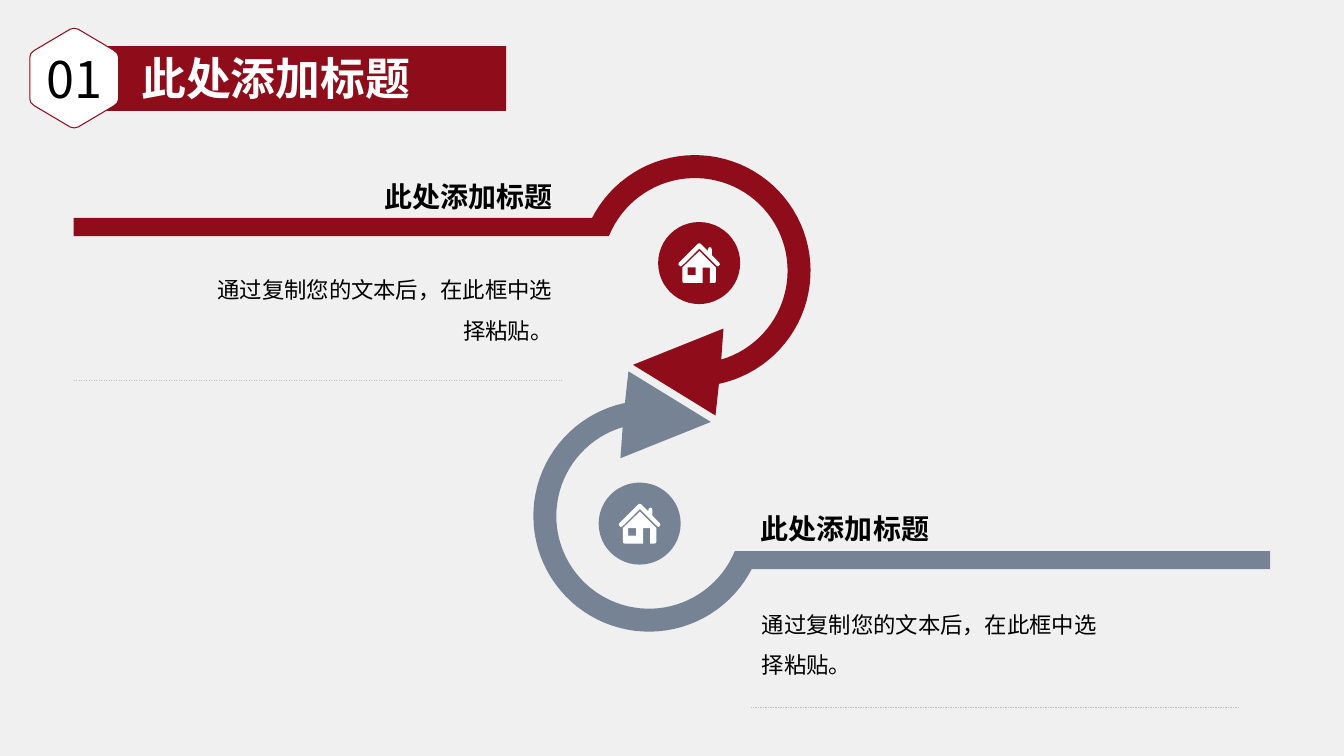
from dataclasses import dataclass
from math import cos, radians, sin

from lxml import etree
from pptx import Presentation
from pptx.dml.color import RGBColor
from pptx.enum.dml import MSO_LINE
from pptx.enum.shapes import MSO_CONNECTOR, MSO_SHAPE
from pptx.enum.text import MSO_ANCHOR, PP_ALIGN
from pptx.oxml.ns import qn
from pptx.util import Pt

LEFT, CENTER, RIGHT = PP_ALIGN.LEFT, PP_ALIGN.CENTER, PP_ALIGN.RIGHT
TOP, MIDDLE, BOTTOM = MSO_ANCHOR.TOP, MSO_ANCHOR.MIDDLE, MSO_ANCHOR.BOTTOM
RECTANGLE, OVAL = MSO_SHAPE.RECTANGLE, MSO_SHAPE.OVAL
STRAIGHT, DASH = MSO_CONNECTOR.STRAIGHT, MSO_LINE.DASH


@dataclass(frozen=True)
class Theme:
    font: str = "Noto Sans CJK SC"
    background: RGBColor = RGBColor(0xF0, 0xF0, 0xF0)
    red: RGBColor = RGBColor(0x8F, 0x0C, 0x1B)
    slate: RGBColor = RGBColor(0x76, 0x83, 0x95)
    white: RGBColor = RGBColor(0xFF, 0xFF, 0xFF)
    black: RGBColor = RGBColor(0, 0, 0)
    rule: RGBColor = RGBColor(0xBF, 0xBF, 0xBF)
    number_size: int = 36
    title_size: int = 32
    heading_size: int = 20
    body_size: int = 16


theme = Theme()
presentation = Presentation()
presentation.slide_width, presentation.slide_height = Pt(960), Pt(540)
slide = presentation.slides.add_slide(presentation.slide_layouts[6])
slide.background.fill.solid()
slide.background.fill.fore_color.rgb = theme.background
shapes = slide.shapes


def add_filled(color, center=(0, 0), contours=None, preset=None, box=None):
    """Add a preset shape in a box, or closed contours around a center."""
    if preset is not None:
        shape = shapes.add_shape(preset, *map(Pt, box))
    else:
        builder = None
        for contour in contours:
            points = [(Pt(center[0] + x), Pt(center[1] + y)) for x, y in contour]
            if builder is None:
                builder = shapes.build_freeform(*points[0])
            else:
                builder.move_to(*points[0])
            builder.add_line_segments(points[1:], close=True)
        shape = builder.convert_to_shape()
    shape.shadow.inherit = False
    shape.fill.solid()
    shape.fill.fore_color.rgb = color
    shape.line.fill.background()
    return shape


def write(shape, text, size, color, align, anchor, bold=False, spacing=1.0, wrap=True):
    frame = shape.text_frame
    frame.word_wrap = wrap
    frame.vertical_anchor = anchor
    paragraph = frame.paragraphs[0]
    paragraph.alignment = align
    paragraph.line_spacing = spacing
    run = paragraph.add_run()
    run.text = text
    run.font.name = theme.font
    run.font.size = Pt(size)
    run.font.bold = bold
    run.font.color.rgb = color
    east_asian = etree.SubElement(run.font._element, qn("a:ea"))
    east_asian.set("typeface", theme.font)


# Ring arrow around its center: outer arc, arrowhead, inner arc back
outer_radius, inner_radius, segments = 82.6, 66.2, 60
tail_angle, outer_end, inner_end = 202.5, 438, 433.5
ring_arrow = []
for radius, start, end in [(outer_radius, tail_angle, outer_end),
                           (inner_radius, inner_end, tail_angle)]:
    for index in range(segments + 1):
        angle = radians(start + (end - start) * index / segments)
        ring_arrow.append((radius * cos(angle), radius * sin(angle)))
    if radius == outer_radius:
        ring_arrow += [(14.7, 103.4), (-44.2, 67.2), (20.4, 41.3)]

# House icon around its center: roof with chimney, walls, window
house = [
    [(14.8, 1), (13.8, 2.4), (12.8, 2.2), (0.2, -10.3), (-12.5, 2.2), (-13.6, 2.4),
     (-14.8, 1), (-14.5, -0.2), (-1, -13.7), (0, -14.1), (1.2, -13.7), (6.3, -8.6),
     (6.3, -9.8), (6.8, -10.9), (7.7, -11.3), (8.7, -10.9), (9.1, -9.8), (9.1, -5.6),
     (14.4, -0.3)],
    [(12, 3.3), (12, 12.9), (11.6, 14), (10.6, 14.3), (7.6, 14.3), (7.6, 3.3),
     (2.5, 3.3), (2.5, 14.3), (-10.6, 14.3), (-11.6, 14), (-12, 12.9), (-12, 3.3),
     (0.2, -8.6)],
    [(-2.5, 3.2), (-8.2, 3.2), (-8.2, 8.6), (-2.5, 8.6)],
]

# Two steps: color, turn, ring and icon centers, bar corner, text boxes, rule, alignment
steps = [
    (theme.red, 1, (496.4, 193.4), (499.4, 187.9), (52.6, 155.6),
     (139.7, 119.5, 262.1, 36), (139.7, 168.5, 262.1, 96.5), (401.8, 52.6, 271.8), RIGHT),
    (theme.slate, -1, (463.6, 368.6), (456.9, 374), (524.9, 393.6),
     (536.4, 357.1, 370.8, 36), (537.1, 371.5, 262.1, 167.8), (885.2, 536.4, 505.4), LEFT),
]
icon_size, bar_size = 58.6, (382.3, 13)
for color, turn, ring, icon, bar, heading_box, body_box, rule, align in steps:
    add_filled(color, ring, [[(turn * x, turn * y) for x, y in ring_arrow]])
    disc_box = (icon[0] - icon_size / 2, icon[1] - icon_size / 2, icon_size, icon_size)
    add_filled(color, preset=OVAL, box=disc_box)
    add_filled(theme.white, icon, house)
    add_filled(color, preset=RECTANGLE, box=bar + bar_size)

    heading = shapes.add_textbox(*map(Pt, heading_box))
    write(heading, "此处添加标题", theme.heading_size, theme.black, align, BOTTOM,
          bold=True, spacing=1.2)
    body = shapes.add_textbox(*map(Pt, body_box))
    write(body, "通过复制您的文本后，在此框中选择粘贴。", theme.body_size, theme.black,
          align, MIDDLE, spacing=1.5)

    start_x, end_x, y = map(Pt, rule)
    divider = shapes.add_connector(STRAIGHT, start_x, y, end_x, y)
    divider.line.color.rgb = theme.rule
    divider.line.width = Pt(0.25)
    divider.line.dash_style = DASH
    etree.SubElement(divider._element.spPr, qn("a:effectLst"))

# Title banner
add_filled(theme.red, preset=RECTANGLE, box=(71.3, 33, 290.2, 46.2))

# Numbered hexagon with rounded corners, mirrored from one quarter
quarter = [(31.7, 14.8), (30.9, 17.6), (28.4, 19.8), (2.9, 34.9), (0, 35.6)]
hexagon = []
for side, level, order in [(1, -1, 1), (-1, -1, -1), (-1, 1, 1), (1, 1, -1)]:
    hexagon += [(side * x, level * y) for x, y in quarter[::order]]
badge = add_filled(theme.white, (53, 55.8), [hexagon])
badge.line.color.rgb = theme.red
badge.line.width = Pt(0)
write(badge, "01", theme.number_size, theme.black, CENTER, MIDDLE)

title = shapes.add_textbox(Pt(92.2), Pt(32.4), Pt(208.1), Pt(46))
write(title, "此处添加标题", theme.title_size, theme.white, RIGHT, TOP, bold=True, wrap=False)

presentation.save("out.pptx")
